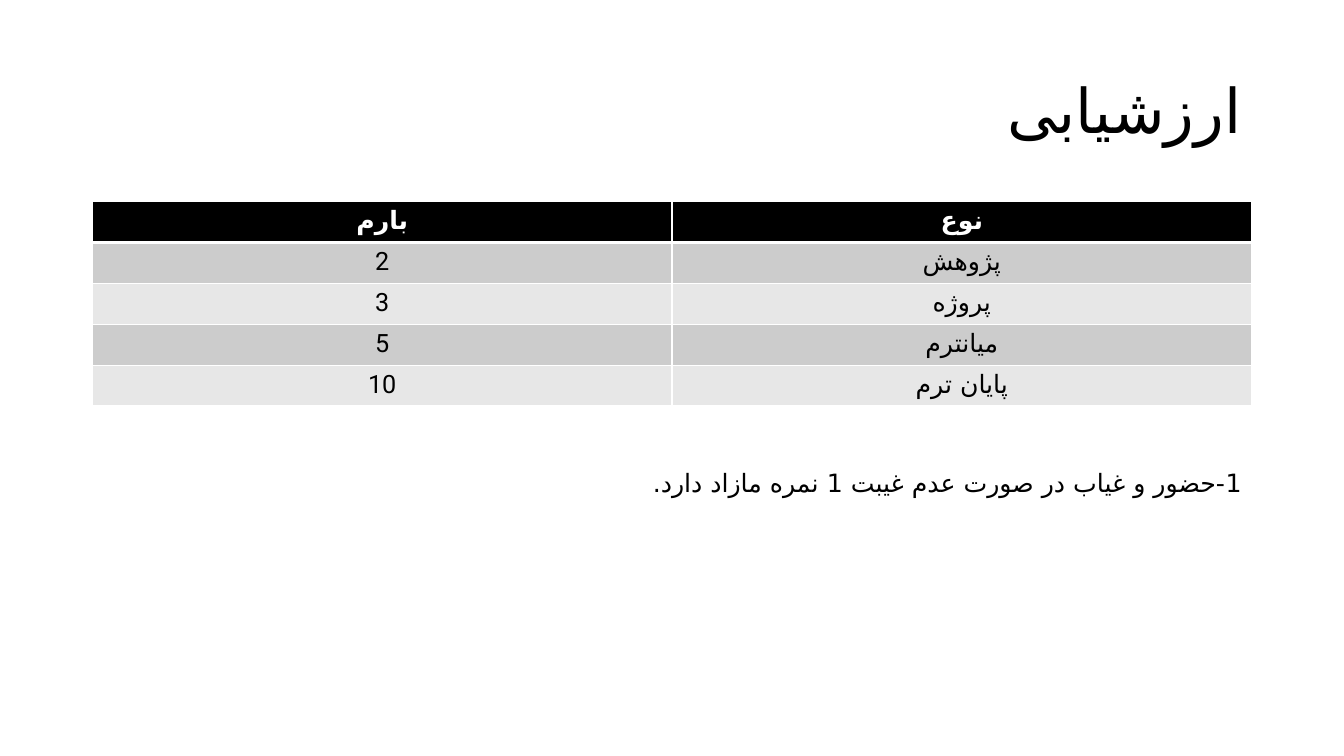
import pptx
import pptx.util
import pptx.dml.color
import pptx.enum.text
import pptx.oxml
import pptx.oxml.ns
from pptx.util import Cm

BLACK = pptx.dml.color.RGBColor(0x00, 0x00, 0x00)
WHITE = pptx.dml.color.RGBColor(0xFF, 0xFF, 0xFF)
DARK_BAND = pptx.dml.color.RGBColor(0xCC, 0xCC, 0xCC)
LIGHT_BAND = pptx.dml.color.RGBColor(0xE7, 0xE7, 0xE7)

FONT = "Roboto"
PERSIAN_FONT = "DejaVu Sans"
BODY_SIZE = 18
ALIGN = pptx.enum.text.PP_ALIGN
ANCHOR = pptx.enum.text.MSO_ANCHOR

LEFT = 2.33
WIDTH = 29.21
ROW_HEIGHT = 1.03

TITLE = "ارزشیابی"
GRADES = [
    ("بارم", "نوع"),
    ("2", "پژوهش"),
    ("3", "پروژه"),
    ("5", "میانترم"),
    ("10", "پایان ترم"),
]
NOTE = "1-حضور و غیاب در صورت عدم غیبت 1 نمره مازاد دارد."


def add_run(para, text, size, color, bold=False):
    span = para.add_run()
    span.text = text
    span.font.name = FONT
    span.font.size = pptx.util.Pt(size)
    span.font.bold = bold
    span.font.color.rgb = color
    complex_script = pptx.oxml.parse_xml(
        f'<a:cs {pptx.oxml.ns.nsdecls("a")} typeface="{PERSIAN_FONT}"/>'
    )
    span.font._element.append(complex_script)


def add_persian_text(page, box, text, size, anchor, line_spacing):
    frame = page.shapes.add_textbox(*map(Cm, box)).text_frame
    frame.word_wrap = True
    frame.vertical_anchor = anchor
    para = frame.paragraphs[0]
    para.alignment = ALIGN.RIGHT
    para.line_spacing = line_spacing
    para._p.get_or_add_pPr().set("rtl", "1")
    add_run(para, text, size, BLACK)


def set_borders(cell, widths):
    properties = cell._tc.get_or_add_tcPr()
    for index, (side, points) in enumerate(widths.items()):
        line = pptx.oxml.parse_xml(
            f'<a:ln{side} {pptx.oxml.ns.nsdecls("a")} w="{pptx.util.Pt(points)}">'
            f'<a:solidFill><a:srgbClr val="{WHITE}"/></a:solidFill></a:ln{side}>'
        )
        properties.insert(index, line)


def add_grade_table(page, box, grades):
    left, top, width, height = map(Cm, box)
    columns = len(grades[0])
    table = page.shapes.add_table(len(grades), columns, left, top, width, height).table
    for row_index, texts in enumerate(grades):
        header = row_index == 0
        band = DARK_BAND if row_index % 2 else LIGHT_BAND
        for column_index, text in enumerate(texts):
            cell = table.cell(row_index, column_index)
            cell.fill.solid()
            cell.fill.fore_color.rgb = BLACK if header else band
            top_width = 3 if row_index == 1 else 1
            bottom_width = 3 if header else 1
            set_borders(cell, {"L": 1, "R": 1, "T": top_width, "B": bottom_width})
            para = cell.text_frame.paragraphs[0]
            para.alignment = ALIGN.CENTER
            add_run(para, text, BODY_SIZE, WHITE if header else BLACK, header)


def add_grading_slide(deck):
    page = deck.slides.add_slide(deck.slide_layouts[6])
    add_persian_text(page, (LEFT, 1.01, WIDTH, 3.68), TITLE, 44, ANCHOR.MIDDLE, 0.9)
    table_box = (LEFT, 5.08, WIDTH, ROW_HEIGHT * len(GRADES))
    add_grade_table(page, table_box, GRADES)
    add_persian_text(page, (LEFT, 11.64, WIDTH, 1.03), NOTE, BODY_SIZE, ANCHOR.TOP, 1.0)


def main():
    deck = pptx.Presentation()
    deck.slide_width = Cm(33.87)
    deck.slide_height = Cm(19.05)
    add_grading_slide(deck)
    deck.save("out.pptx")


if __name__ == "__main__":
    main()
